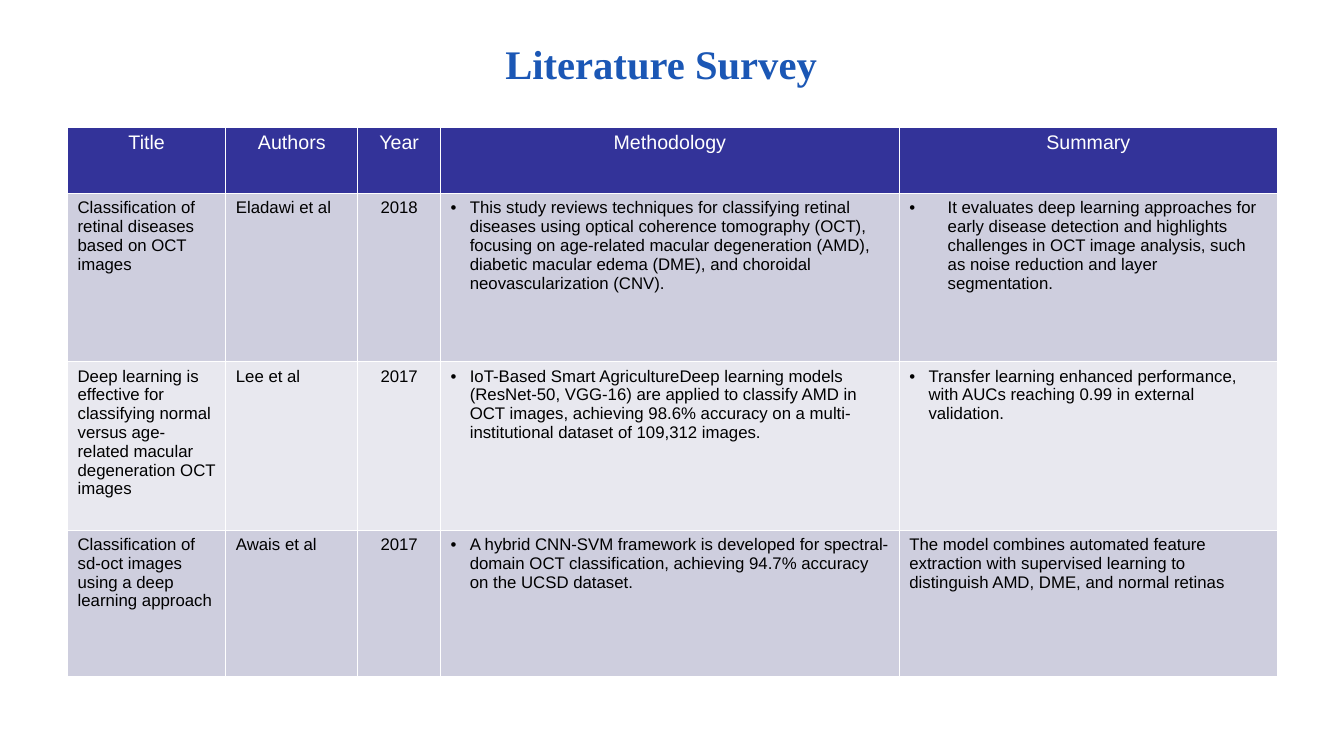
import pptx
import pptx.util
import pptx.dml.color
import pptx.enum.text
import lxml.etree
from pptx.oxml.ns import qn

Inches = pptx.util.Inches
RGBColor = pptx.dml.color.RGBColor
Align = pptx.enum.text.PP_ALIGN

WHITE = RGBColor(0xFF, 0xFF, 0xFF)
BLACK = RGBColor(0x00, 0x00, 0x00)
TITLE_BLUE = RGBColor(0x1B, 0x57, 0xB5)
HEADER_BLUE = RGBColor(0x33, 0x33, 0x99)
BANDS = [RGBColor(0xCE, 0xCE, 0xDE), RGBColor(0xE8, 0xE8, 0xEF)]

TITLE_FORMAT = {"name": "Times New Roman", "size": pptx.util.Pt(29), "bold": True}
HEADER_FORMAT = {"name": "Arial", "size": pptx.util.Pt(14), "bold": False}
BODY_FORMAT = {"name": "Arial", "size": pptx.util.Pt(12), "bold": False}

COLUMN_WIDTHS = [1.57, 1.31, 0.82, 4.55, 3.75]
ROW_HEIGHTS = [0.66, 1.67, 1.67, 1.45]
YEAR_COLUMN = 2
HEADINGS = ["Title", "Authors", "Year", "Methodology", "Summary"]
STUDIES = [
    [
        "Classification of retinal diseases based on OCT images",
        "Eladawi et al",
        "2018",
        "This study reviews techniques for classifying retinal diseases using optical "
        "coherence tomography (OCT), focusing on age-related macular degeneration (AMD), "
        "diabetic macular edema (DME), and choroidal neovascularization (CNV).",
        "It evaluates deep learning approaches for early disease detection and highlights "
        "challenges in OCT image analysis, such as noise reduction and layer segmentation.",
    ],
    [
        "Deep learning is effective for classifying normal versus age-related macular "
        "degeneration OCT images",
        "Lee et al",
        "2017",
        "IoT-Based Smart AgricultureDeep learning models (ResNet-50, VGG-16) are applied "
        "to classify AMD in OCT images, achieving 98.6% accuracy on a multi-institutional "
        "dataset of 109,312 images.",
        "Transfer learning enhanced performance, with AUCs reaching 0.99 in external "
        "validation.",
    ],
    [
        "Classification of sd-oct images using a deep learning approach",
        "Awais et al",
        "2017",
        "A hybrid CNN-SVM framework is developed for spectral-domain OCT classification, "
        "achieving 94.7% accuracy on the UCSD dataset.",
        "The model combines automated feature extraction with supervised learning to "
        "distinguish AMD, DME, and normal retinas",
    ],
]
BULLET_INDENTS = {(1, 3): 0.19, (1, 4): 0.38, (2, 3): 0.19, (2, 4): 0.19, (3, 3): 0.19}


class SlideBuilder:
    def __init__(self, slide):
        self.slide = slide

    def add_text(self, frame, text, format_values, color, align=Align.LEFT):
        para = frame.paragraphs[0]
        para.alignment = align
        span = para.add_run()
        span.text = text
        for name, value in format_values.items():
            setattr(span.font, name, value)
        span.font.color.rgb = color
        return para

    def add_bullet(self, para, indent):
        properties = para._p.get_or_add_pPr()
        properties.set("marL", str(Inches(indent)))
        properties.set("indent", str(-Inches(indent)))
        bullet_font = lxml.etree.SubElement(properties, qn("a:buFont"))
        bullet_font.set("typeface", "Arial")
        bullet = lxml.etree.SubElement(properties, qn("a:buChar"))
        bullet.set("char", "•")

    def add_title(self, text, left, top, width, height):
        box = self.slide.shapes.add_textbox(
            Inches(left), Inches(top), Inches(width), Inches(height)
        )
        frame = box.text_frame
        frame.word_wrap = True
        frame.vertical_anchor = pptx.enum.text.MSO_ANCHOR.MIDDLE
        self.add_text(frame, text, TITLE_FORMAT, TITLE_BLUE, Align.CENTER)

    def add_table(self, rows, left, top):
        table = self.slide.shapes.add_table(
            len(rows), len(COLUMN_WIDTHS), Inches(left), Inches(top),
            Inches(sum(COLUMN_WIDTHS)), Inches(sum(ROW_HEIGHTS)),
        ).table
        for column, width in zip(table.columns, COLUMN_WIDTHS):
            column.width = Inches(width)
        for row, height in zip(table.rows, ROW_HEIGHTS):
            row.height = Inches(height)
        for row_index, texts in enumerate(rows):
            for column_index, text in enumerate(texts):
                self.fill_cell(table.cell(row_index, column_index), text, row_index, column_index)

    def fill_cell(self, cell, text, row_index, column_index):
        is_header = row_index == 0
        cell.fill.solid()
        cell.fill.fore_color.rgb = HEADER_BLUE if is_header else BANDS[(row_index - 1) % 2]
        centred = is_header or column_index == YEAR_COLUMN
        para = self.add_text(
            cell.text_frame, text,
            HEADER_FORMAT if is_header else BODY_FORMAT,
            WHITE if is_header else BLACK,
            Align.CENTER if centred else Align.LEFT,
        )
        indent = BULLET_INDENTS.get((row_index, column_index))
        if indent:
            self.add_bullet(para, indent)


def main():
    deck = pptx.Presentation()
    deck.slide_width = Inches(13.33)
    deck.slide_height = Inches(7.5)
    page = SlideBuilder(deck.slides.add_slide(deck.slide_layouts[6]))
    page.add_title("Literature Survey", 0.56, 0.25, 12, 0.75)
    page.add_table([HEADINGS] + STUDIES, 0.67, 1.26)
    deck.save("out.pptx")


if __name__ == "__main__":
    main()
